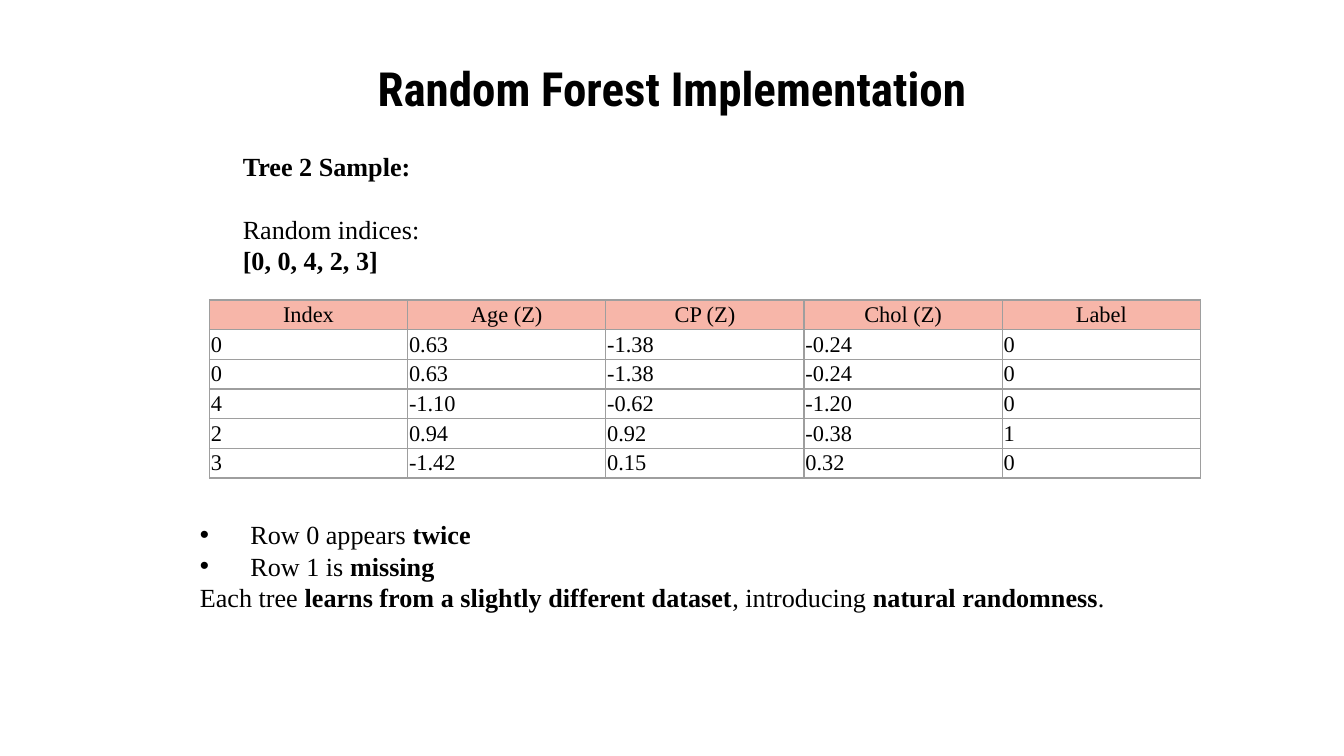
import pptx
import pptx.dml.color
import pptx.enum.text
import pptx.oxml
import pptx.oxml.ns
import pptx.util

Pt = pptx.util.Pt
RGBColor = pptx.dml.color.RGBColor
Align = pptx.enum.text.PP_ALIGN
Anchor = pptx.enum.text.MSO_ANCHOR

BLACK = RGBColor(0x00, 0x00, 0x00)
WHITE = RGBColor(0xFF, 0xFF, 0xFF)
SALMON = RGBColor(0xF7, 0xB6, 0xA9)
GRAY = RGBColor(0x9E, 0x9E, 0x9E)

NAMESPACE = pptx.oxml.ns.nsdecls("a")
BULLET_INDENT = Pt(27)


def add_text(paragraph, text, font="Times New Roman", size=14, bold=False, color=BLACK):
    run = paragraph.add_run()
    run.text = text
    run.font.name = font
    run.font.size = Pt(size)
    run.font.bold = bold
    run.font.color.rgb = color


def add_bullet(paragraph):
    properties = paragraph._p.get_or_add_pPr()
    properties.set("marL", str(BULLET_INDENT))
    properties.set("indent", str(-BULLET_INDENT))
    for xml in (
        f'<a:buClr {NAMESPACE}><a:srgbClr val="{BLACK}"/></a:buClr>',
        f'<a:buFont {NAMESPACE} typeface="Arial"/>',
        f'<a:buChar {NAMESPACE} char="•"/>',
    ):
        properties.append(pptx.oxml.parse_xml(xml))


def add_borders(cell, color=GRAY, width=0.75):
    properties = cell._tc.get_or_add_tcPr()
    for position, side in enumerate("LRTB"):
        properties.insert(position, pptx.oxml.parse_xml(
            f'<a:ln{side} {NAMESPACE} w="{Pt(width)}"><a:solidFill>'
            f'<a:srgbClr val="{color}"/></a:solidFill></a:ln{side}>'))


class SlideBuilder:
    def __init__(self, presentation):
        self.slide = presentation.slides.add_slide(presentation.slide_layouts[6])
        self.slide.background.fill.solid()
        self.slide.background.fill.fore_color.rgb = WHITE

    def text_box(self, left, top, width, height, anchor=Anchor.TOP, wrap=True):
        shape = self.slide.shapes.add_textbox(Pt(left), Pt(top), Pt(width), Pt(height))
        frame = shape.text_frame
        frame.word_wrap = wrap
        frame.vertical_anchor = anchor
        return frame

    def title(self, text):
        frame = self.text_box(36, 32.4, 648, 29.5, anchor=Anchor.MIDDLE)
        frame.margin_top = frame.margin_bottom = Pt(7.2)
        paragraph = frame.paragraphs[0]
        paragraph.alignment = Align.CENTER
        add_text(paragraph, text, font="Roboto Condensed", size=25.2, bold=True)

    def sample(self, heading, caption, indices):
        frame = self.text_box(123, 77, 571, 108.7)
        add_text(frame.paragraphs[0], heading, bold=True)
        paragraph = frame.add_paragraph()
        paragraph.space_before = Pt(16.9)
        add_text(paragraph, caption)
        add_text(frame.add_paragraph(), indices, bold=True)

    def table(self, rows, left, top, column_width, row_height):
        columns = len(rows[0])
        table = self.slide.shapes.add_table(
            len(rows), columns, Pt(left), Pt(top),
            Pt(column_width * columns), Pt(row_height * len(rows))).table
        table.horz_banding = False
        for row in table.rows:
            row.height = Pt(row_height)
        for row_index, values in enumerate(rows):
            for column_index, value in enumerate(values):
                self.cell(table.cell(row_index, column_index), value, row_index == 0)

    def cell(self, cell, value, is_header):
        cell.margin_left = cell.margin_right = Pt(0.75)
        cell.margin_top = cell.margin_bottom = Pt(0.75)
        cell.vertical_anchor = Anchor.MIDDLE
        paragraph = cell.text_frame.paragraphs[0]
        add_text(paragraph, value, size=12)
        if is_header:
            paragraph.alignment = Align.CENTER
            cell.fill.solid()
            cell.fill.fore_color.rgb = SALMON
        else:
            cell.fill.background()
        add_borders(cell)

    def remarks(self, remarks):
        frame = self.text_box(100, 274.3, 502.6, 74.9, wrap=False)
        for index, (bulleted, parts) in enumerate(remarks):
            paragraph = frame.add_paragraph() if index else frame.paragraphs[0]
            if bulleted:
                add_bullet(paragraph)
            for part_index, part in enumerate(parts):
                add_text(paragraph, part, bold=part_index % 2 == 1)


SAMPLE_ROWS = [
    ("Index", "Age (Z)", "CP (Z)", "Chol (Z)", "Label"),
    ("0", "0.63", "-1.38", "-0.24", "0"),
    ("0", "0.63", "-1.38", "-0.24", "0"),
    ("4", "-1.10", "-0.62", "-1.20", "0"),
    ("2", "0.94", "0.92", "-0.38", "1"),
    ("3", "-1.42", "0.15", "0.32", "0"),
]

REMARKS = [
    (True, ("Row 0 appears ", "twice")),
    (True, ("Row 1 is ", "missing")),
    (False, ("Each tree ", "learns from a slightly different dataset",
             ", introducing ", "natural randomness", ".")),
]


def main():
    presentation = pptx.Presentation()
    presentation.slide_width = Pt(720)
    presentation.slide_height = Pt(405)
    builder = SlideBuilder(presentation)
    builder.title("Random Forest Implementation")
    builder.sample("Tree 2 Sample:", "Random indices:", "[0, 0, 4, 2, 3]")
    builder.table(SAMPLE_ROWS, left=112.2, top=160.7, column_width=106.2, row_height=15.9)
    builder.remarks(REMARKS)
    presentation.save("out.pptx")


if __name__ == "__main__":
    main()
